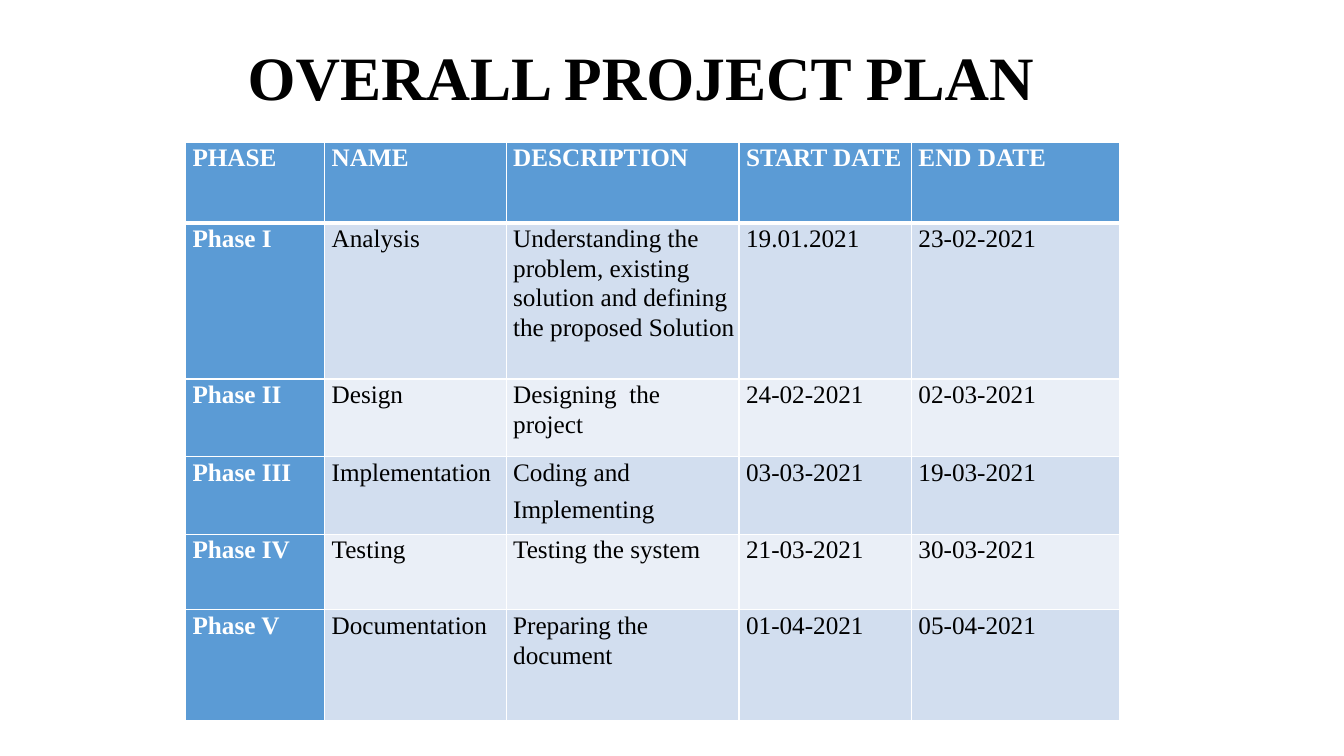
from dataclasses import astuple, dataclass

from lxml import etree
from pptx import Presentation
from pptx.dml.color import RGBColor
from pptx.enum.text import MSO_ANCHOR, PP_ALIGN
from pptx.oxml.ns import qn
from pptx.slide import Slide
from pptx.table import _Cell
from pptx.text.text import _Paragraph
from pptx.util import Inches, Pt

MIDDLE = MSO_ANCHOR.MIDDLE
CENTER = PP_ALIGN.CENTER

FONT = "Times New Roman"
WHITE = "FFFFFF"
BLACK = "000000"
ACCENT = "5B9BD5"
BANDS = ("D2DEEF", "EAEFF7")

COLUMN_WIDTHS = (1.38, 1.8, 2.31, 1.71, 2.06)
ROW_HEIGHTS = (0.8, 1.55, 0.77, 0.77, 0.75, 1.1)
THIN, THICK = 1, 3


@dataclass(frozen=True)
class PlanRow:
    phase: str
    name: str
    description: str
    start: str
    end: str


PLAN = (
    PlanRow("PHASE", "NAME", "DESCRIPTION", "START DATE", "END DATE"),
    PlanRow("Phase I", "Analysis",
            "Understanding the problem, existing solution and defining the proposed Solution",
            "19.01.2021", "23-02-2021"),
    PlanRow("Phase II", "Design", "Designing  the project", "24-02-2021", "02-03-2021"),
    PlanRow("Phase III", "Implementation", "Coding and\nImplementing", "03-03-2021", "19-03-2021"),
    PlanRow("Phase IV", "Testing", "Testing the system", "21-03-2021", "30-03-2021"),
    PlanRow("Phase V", "Documentation", "Preparing the document", "01-04-2021", "05-04-2021"),
)


def rgb(color: str) -> RGBColor:
    return RGBColor.from_string(color)


def style_paragraph(paragraph: _Paragraph, size: float, color: str, bold: bool,
                    line_spacing: float) -> None:
    paragraph.line_spacing = line_spacing
    font = paragraph.font
    font.name = FONT
    font.size = Pt(size)
    font.bold = bold
    font.color.rgb = rgb(color)


def add_title(slide: Slide, text: str) -> None:
    box = slide.shapes.add_textbox(Inches(0.61), Inches(0.07), Inches(11.5), Inches(1.45))
    frame = box.text_frame
    frame.word_wrap = True
    frame.vertical_anchor = MIDDLE
    frame.text = text
    paragraph = frame.paragraphs[0]
    paragraph.alignment = CENTER
    style_paragraph(paragraph, 44, BLACK, True, 0.9)


def add_borders(cell: _Cell, top: float, bottom: float) -> None:
    """Draw white borders; call before filling, as the schema puts lines first."""
    properties = cell._tc.get_or_add_tcPr()
    for side, width in (("L", THIN), ("R", THIN), ("T", top), ("B", bottom)):
        line = etree.SubElement(properties, qn(f"a:ln{side}"), w=str(Pt(width)))
        fill = etree.SubElement(line, qn("a:solidFill"))
        etree.SubElement(fill, qn("a:srgbClr"), val=WHITE)


def fill_cell(cell: _Cell, text: str, row: int, column: int) -> None:
    is_heading = row == 0 or column == 0
    cell.margin_left, cell.margin_right = Inches(0.07), Inches(0.04)
    cell.margin_top = cell.margin_bottom = 0
    add_borders(cell, THICK if row == 1 else THIN, THICK if row == 0 else THIN)
    cell.fill.solid()
    cell.fill.fore_color.rgb = rgb(ACCENT if is_heading else BANDS[(row - 1) % 2])
    cell.text_frame.text = text
    paragraphs = cell.text_frame.paragraphs
    for paragraph in paragraphs:
        style_paragraph(paragraph, 18, WHITE if is_heading else BLACK, is_heading, 1.07)
    for paragraph in paragraphs[:-1]:
        paragraph.space_after = Pt(5.6)


def add_plan_table(slide: Slide) -> None:
    table = slide.shapes.add_table(
        len(PLAN), len(COLUMN_WIDTHS), Inches(1.84), Inches(1.41),
        Inches(sum(COLUMN_WIDTHS)), Inches(sum(ROW_HEIGHTS))).table
    table.first_col = True
    for column, width in zip(table.columns, COLUMN_WIDTHS):
        column.width = Inches(width)
    for row, height in zip(table.rows, ROW_HEIGHTS):
        row.height = Inches(height)
    for row_index, plan_row in enumerate(PLAN):
        for column_index, text in enumerate(astuple(plan_row)):
            fill_cell(table.cell(row_index, column_index), text, row_index, column_index)


def main() -> None:
    presentation = Presentation()
    presentation.slide_width = Inches(13.33)
    presentation.slide_height = Inches(7.5)
    slide = presentation.slides.add_slide(presentation.slide_layouts[6])
    add_title(slide, "OVERALL PROJECT PLAN")
    add_plan_table(slide)
    presentation.save("out.pptx")


if __name__ == "__main__":
    main()
